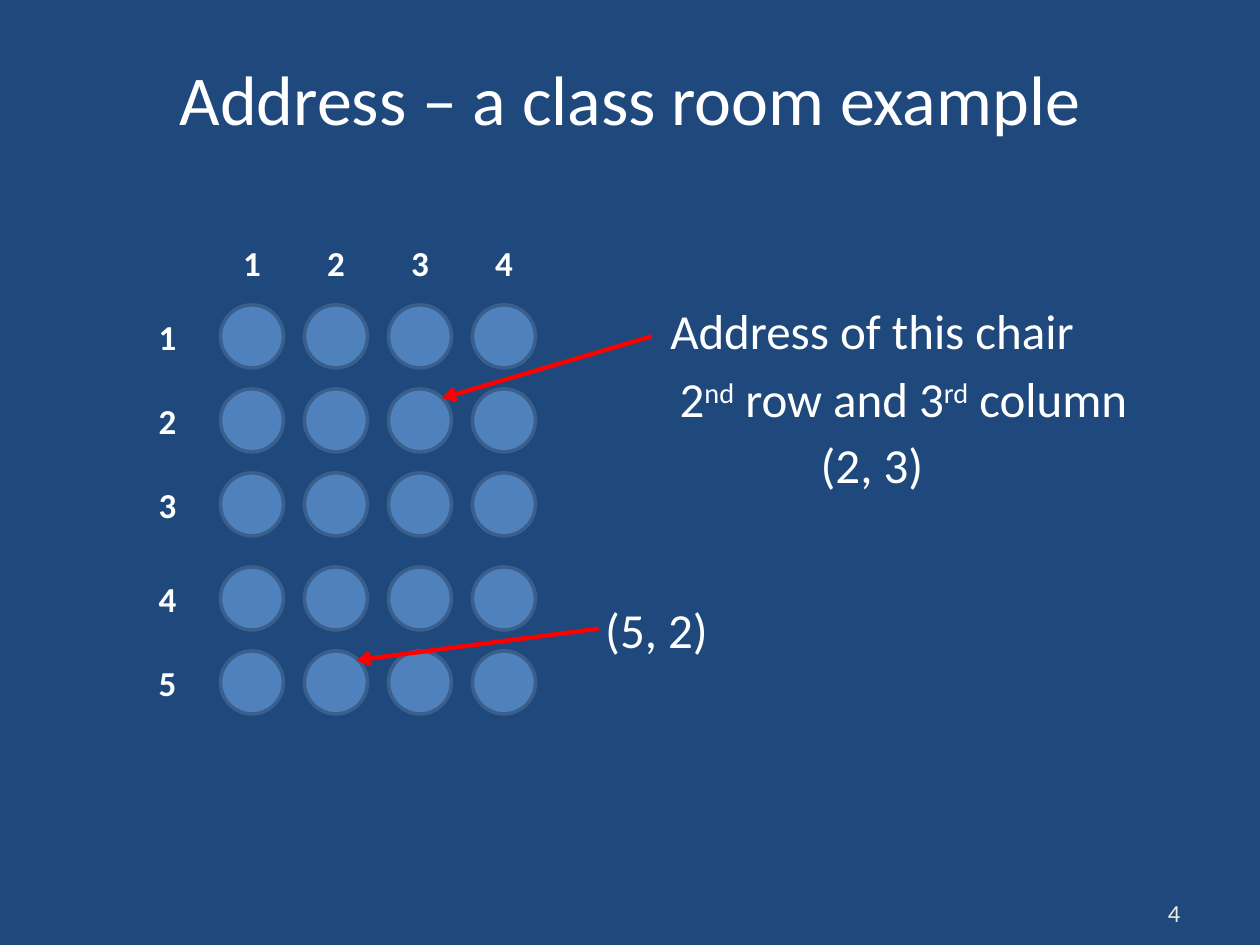
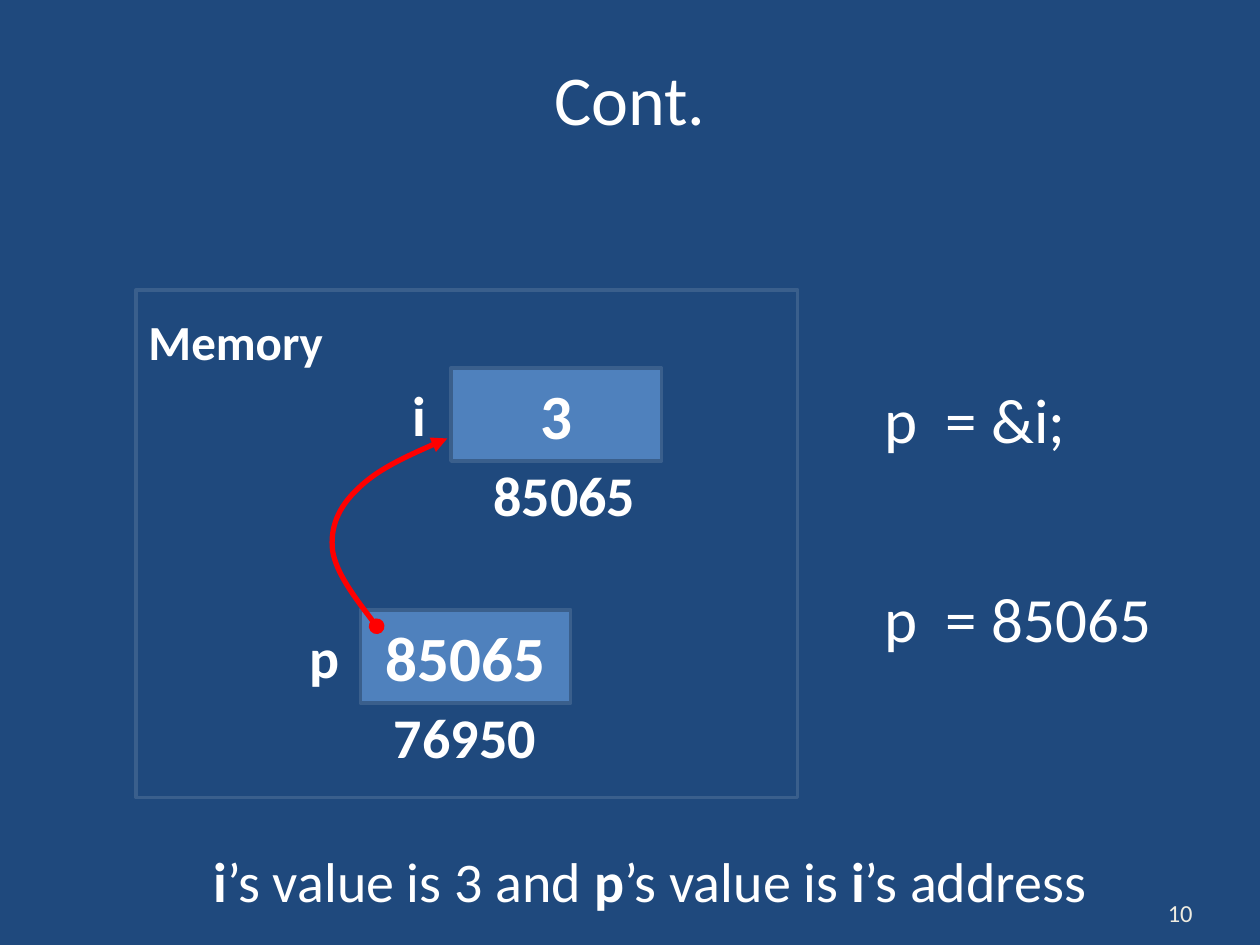
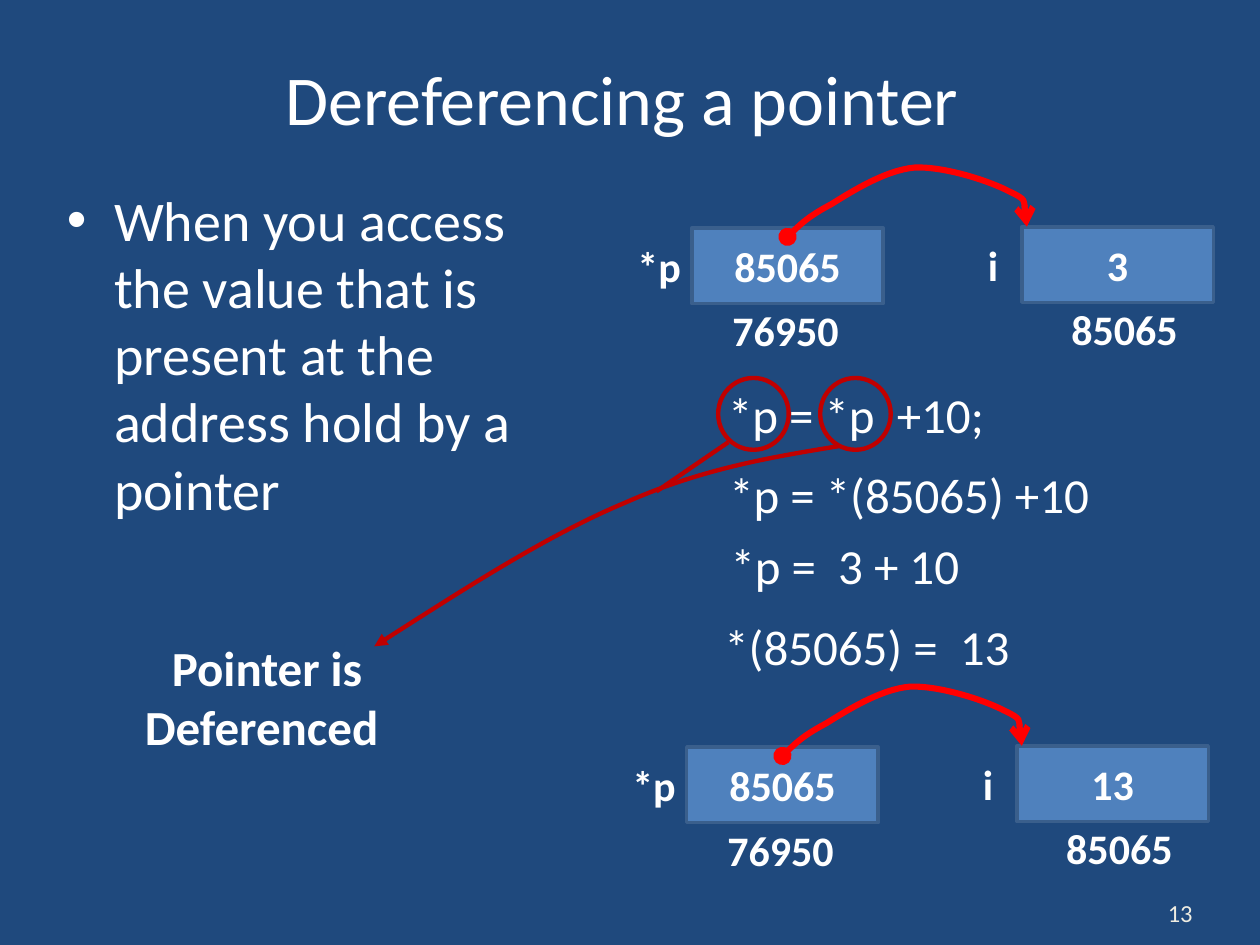
from dataclasses import dataclass

from lxml.etree import SubElement
from pptx import Presentation
from pptx.dml.color import RGBColor
from pptx.enum.shapes import MSO_CONNECTOR as Connector, MSO_SHAPE as Shape
from pptx.enum.text import MSO_ANCHOR as Anchor, MSO_AUTO_SIZE as AutoSize, PP_ALIGN as Align
from pptx.oxml.ns import qn
from pptx.util import Inches, Pt


@dataclass(frozen=True)
class Theme:
    """Colours, font and type sizes of the whole deck."""
    background = RGBColor.from_string("1F497D")
    text = RGBColor.from_string("FFFFFF")
    number = RGBColor.from_string("EEECE1")
    fill = RGBColor.from_string("4F81BD")
    border = RGBColor.from_string("3A5F8C")
    pointer = RGBColor.from_string("FF0000")
    mark = RGBColor.from_string("C00000")
    font = "Calibri"
    title_size = 40
    formula_size = 36
    body_size = 32
    note_size = 28
    label_size = 20
    number_size = 14
    border_width = 2
    mark_width = 2.5


@dataclass(frozen=True)
class CellStyle:
    """Measures of a memory cell with its name and address."""
    width: float
    height: float
    name_width: float
    address_width: float
    address_height: float
    value_size: int
    label_size: int


THEME = Theme()
LARGE_CELL = CellStyle(1.67, 0.74, 0.83, 1.84, 0.52, 36, 32)
SMALL_CELL = CellStyle(1.52, 0.6, 0.76, 1.67, 0.42, 24, 24)


def inches(*values):
    """Convert several numbers to lengths."""
    return [Inches(value) for value in values]


def format_paragraph(paragraph, size, bold=False, align=None, color=THEME.text):
    """Set the font and alignment of one paragraph."""
    font = paragraph.font
    font.name, font.size, font.bold = THEME.font, Pt(size), bold
    font.color.rgb = color
    if align is not None:
        paragraph.alignment = align


def write(shape, text, size, anchor=Anchor.MIDDLE, **style):
    """Write a string, or a list of (text, kind) runs, into a shape."""
    frame = shape.text_frame
    frame.word_wrap = True
    frame.vertical_anchor = anchor
    paragraph = frame.paragraphs[0]
    for content, kind in [(text, "")] if isinstance(text, str) else text:
        run = paragraph.add_run()
        run.text = content
        if kind == "bold":
            run.font.bold = True
        elif kind == "super":
            run._r.get_or_add_rPr().set("baseline", "30000")
    format_paragraph(paragraph, size, **style)


def add_text(shapes, box, text, size, **style):
    """Add a wrapping text box."""
    write(shapes.add_textbox(*inches(*box)), text, size, **style)


def add_figure(shapes, kind, box, fill=None, line=None, width=THEME.border_width):
    """Add a preset shape; without a colour, fill or line is left out."""
    shape = shapes.add_shape(kind, *inches(*box))
    shape.shadow.inherit = False
    if fill is None:
        shape.fill.background()
    else:
        shape.fill.solid()
        shape.fill.fore_color.rgb = fill
    if line is None:
        shape.line.fill.background()
    else:
        style_line(shape, line, width)
    return shape


def style_line(shape, color, width, head=None, tail=None):
    """Set the stroke of a shape and its line ends."""
    shape.line.color.rgb = color
    shape.line.width = Pt(width)
    outline = shape.element.spPr.find(qn("a:ln"))
    for tag, kind in (("a:headEnd", head), ("a:tailEnd", tail)):
        if kind:
            SubElement(outline, qn(tag), type=kind)


def add_line(shapes, start, end, color, head=None):
    """Add a straight connector."""
    line = shapes.add_connector(Connector.STRAIGHT, *inches(*start, *end))
    style_line(line, color, THEME.mark_width, head=head)
    SubElement(line.element.spPr, qn("a:effectLst"))


def add_curve(shapes, points, color, width, head=None, tail=None):
    """Add a curve through a start and groups of three Bezier points."""
    start, *others = [inches(*point) for point in points]
    builder = shapes.build_freeform(*start)
    builder.add_line_segments(others, close=False)
    curve = builder.convert_to_shape()
    outline = next(curve.element.iter(qn("a:path")))
    segments = outline.findall(qn("a:lnTo"))
    for first in range(0, len(segments), 3):
        bezier = SubElement(outline, qn("a:cubicBezTo"))
        for segment in segments[first:first + 3]:
            bezier.append(segment[0])
            outline.remove(segment)
    curve.fill.background()
    curve.shadow.inherit = False
    style_line(curve, color, width, head, tail)


def add_cell(shapes, left, top, texts, style, is_pointer):
    """Add a memory cell: value inside, name to the left, address below."""
    name, value, address = texts
    name_shift, address_shift = (0.84, 0.09) if is_pointer else (0.8, 0.02)
    box = add_figure(shapes, Shape.RECTANGLE, (left, top, style.width, style.height),
                     THEME.fill, THEME.border)
    write(box, value, style.value_size, bold=True, align=Align.CENTER)
    name_box = (left - name_shift * style.name_width, top, style.name_width, style.height)
    address_box = (left - address_shift, top + style.height,
                   style.address_width, style.address_height)
    for label, place in ((name, name_box), (address, address_box)):
        add_text(shapes, place, label, style.label_size, bold=True, align=Align.CENTER)


def add_pointer_diagram(slide, left, top, value):
    """Add cells p and i side by side, joined by a curved arrow."""
    shapes = slide.shapes.add_group_shape().shapes
    add_cell(shapes, left, top, ("*p", "85065", "76950"), SMALL_CELL, True)
    add_cell(shapes, left + 2.62, top - 0.01, ("i", value, "85065"), SMALL_CELL, False)
    bends = [(0.76, 0.07), (0.85, -0.02), (0.94, -0.1), (1.11, -0.19), (1.27, -0.29),
             (1.54, -0.46), (1.77, -0.48), (2.01, -0.49), (2.37, -0.37), (2.52, -0.29),
             (2.67, -0.22), (2.66, -0.11), (2.66, -0.01)]
    add_curve(shapes, [(left + x, top + y) for x, y in bends],
              THEME.pointer, 3.5, "oval", "arrow")


def add_slide(presentation, title, number, layout=5):
    """Add a slide with its title and number."""
    slide = presentation.slides.add_slide(presentation.slide_layouts[layout])
    heading = slide.shapes.title
    heading.left, heading.top, heading.width, heading.height = inches(0.5, 0.38, 9, 0.78)
    write(heading, title, THEME.title_size, align=Align.CENTER)
    heading.text_frame.auto_size = AutoSize.NONE
    add_text(slide.shapes, (9.17, 7.08, 0.67, 0.33), str(number),
             THEME.number_size, color=THEME.number)
    return slide


def add_seat_label(shapes, left, top, number):
    """Add a row or column number of the class room."""
    label = add_figure(shapes, Shape.OVAL, (left, top, 0.5, 0.5))
    frame = label.text_frame
    frame.margin_left = frame.margin_right = frame.margin_top = frame.margin_bottom = 0
    write(label, str(number), THEME.label_size, bold=True, align=Align.CENTER)


def build_class_room(presentation):
    """Chairs in rows and columns, two of them with their address."""
    slide = add_slide(presentation, "Address – a class room example", 4)
    shapes = slide.shapes
    pitch = 2 / 3
    columns = [1.75 + pitch * index for index in range(4)]
    aisle = 0.08
    rows = [2.42 + pitch * index + (aisle if index > 2 else 0) for index in range(5)]
    for top in rows:
        for left in columns:
            add_figure(shapes, Shape.OVAL, (left, top, 0.5, 0.5), THEME.fill, THEME.border)
    column_labels = shapes.add_group_shape().shapes
    for number, left in enumerate(columns, 1):
        add_seat_label(column_labels, left, 1.83, number)
    row_labels = shapes.add_group_shape().shapes
    for number, top in enumerate(rows, 1):
        add_seat_label(row_labels, 1.08, top, number)

    add_line(shapes, (3.51, 3.16), (5.17, 2.67), THEME.pointer, "arrow")
    add_line(shapes, (2.83, 5.24), (4.75, 4.99), THEME.pointer, "arrow")
    ordinals = [("2", ""), ("nd", "super"), (" row and 3", ""), ("rd", "super"), (" column", "")]
    for box, text in (((5.17, 2.33, 3.5, 0.58), "Address of this chair"),
                      ((5.17, 2.87, 4, 0.58), ordinals),
                      ((6.38, 3.43, 1.08, 0.5), "(2, 3)"),
                      ((4.67, 4.74, 1.08, 0.5), "(5, 2)")):
        add_text(shapes, box, text, THEME.note_size, align=Align.CENTER)


def build_memory(presentation):
    """A pointer and the variable whose address it holds."""
    slide = add_slide(presentation, "Cont.", 10)
    shapes = slide.shapes
    memory = add_figure(shapes, Shape.RECTANGLE, (1.08, 2.3, 5.25, 4.03), line=THEME.border)
    memory.text_frame.margin_top = Inches(0.17)
    write(memory, "Memory", THEME.note_size, anchor=Anchor.TOP, bold=True, align=Align.LEFT)
    add_cell(shapes, 3.58, 2.92, ("i", "3", "85065"), LARGE_CELL, False)
    add_cell(shapes, 2.86, 4.84, ("p", "85065", "76950"), LARGE_CELL, True)
    for top, width, text in ((2.97, 1.77, "p  = &i;"), (4.55, 2.45, "p  = 85065")):
        add_text(shapes, (6.92, top, width, 0.71), text, THEME.formula_size, anchor=Anchor.TOP)
    summary = [("i", "bold"), ("’s value is 3 and ", ""), ("p", "bold"),
               ("’s value is ", ""), ("i", "bold"), ("’s address", "")]
    add_text(shapes, (1.6, 6.67, 7.3, 0.64), summary, THEME.body_size, anchor=Anchor.TOP)
    add_curve(shapes, [(2.99, 4.97), (2.83, 4.76), (2.67, 4.55), (2.64, 4.37),
                       (2.62, 4.19), (2.68, 4.03), (2.84, 3.88),
                       (2.99, 3.73), (3.27, 3.6), (3.55, 3.48)],
              THEME.pointer, 3, "oval", "triangle")


def build_dereferencing(presentation):
    """The steps of an assignment through a pointer."""
    slide = add_slide(presentation, "Dereferencing a pointer ", 13, layout=1)
    shapes = slide.shapes
    body = slide.placeholders[1]
    body.left, body.top, body.width, body.height = inches(0.43, 1.42, 4.38, 2.92)
    write(body, "When you access the value that is present at the address hold by a pointer",
          THEME.body_size, anchor=Anchor.TOP)
    body.text_frame.auto_size = AutoSize.NONE

    add_pointer_diagram(slide, 5.49, 1.81, "3")
    for left, top, width, text in ((5.68, 3, 2.26, "*p = *p  +10;"),
                                   (5.69, 3.64, 3.73, "*p = *(85065) +10"),
                                   (5.7, 4.2, 2.56, "*p =  3 + 10"),
                                   (5.65, 4.84, 2.89, "*(85065) =  13")):
        add_text(shapes, (left, top, width, 0.57), text, THEME.note_size, anchor=Anchor.TOP)
    add_pointer_diagram(slide, 5.45, 5.93, "13")

    callout = shapes.add_group_shape().shapes
    add_text(callout, (0.83, 5.05, 2.58, 0.95), "Pointer is Deferenced ",
             THEME.note_size, bold=True, align=Align.CENTER)
    for left in (5.7, 6.51):
        add_figure(callout, Shape.OVAL, (left, 3, 0.56, 0.57),
                   line=THEME.mark, width=THEME.mark_width)
    add_curve(callout, [(6.66, 3.54), (6.11, 3.63), (5.57, 3.72), (4.96, 3.99),
                        (4.34, 4.25), (3.66, 4.69), (2.97, 5.13)],
              THEME.mark, THEME.mark_width, tail="triangle")
    add_line(callout, (5.78, 3.51), (5.21, 3.9), THEME.mark)


def main():
    """Build and save the deck."""
    presentation = Presentation()
    presentation.slide_width, presentation.slide_height = inches(10, 7.5)
    background = presentation.slide_master.background.fill
    background.solid()
    background.fore_color.rgb = THEME.background
    build_class_room(presentation)
    build_memory(presentation)
    build_dereferencing(presentation)
    presentation.save("out.pptx")


main()
